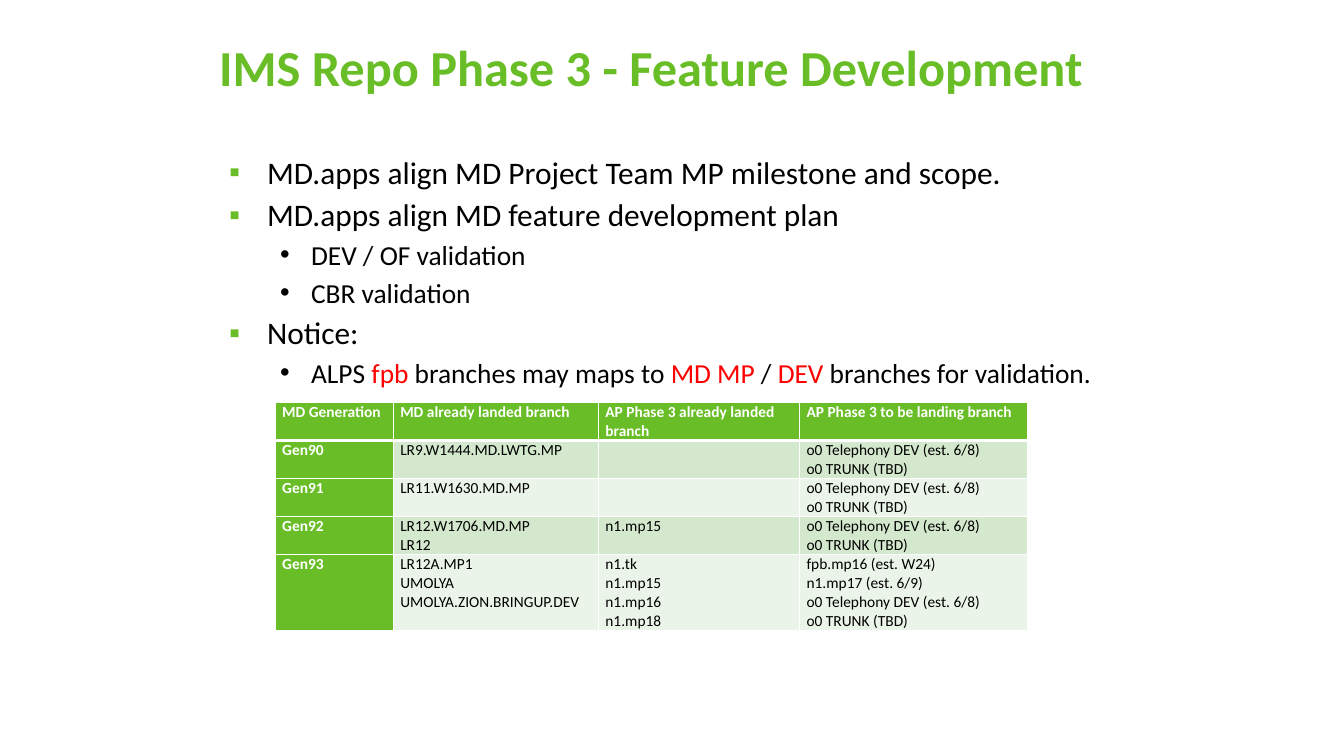
from lxml.etree import SubElement
from pptx import Presentation
from pptx.dml.color import RGBColor
from pptx.enum.text import MSO_ANCHOR, PP_ALIGN
from pptx.oxml.ns import qn
from pptx.util import Emu, Pt

SCALE = 9080
GREEN, BLACK, WHITE, RED = "69BE28", "000000", "FFFFFF", "FF0000"
BANDS = ["D4E8CD", "EBF4E8"]
LEVELS = [(22.4, 38, 38, "▪", GREEN), (19.6, 82, 31, "•", BLACK)]
POINTS = [
    (0, [("MD.apps align MD Project Team MP milestone and scope.", BLACK)]),
    (0, [("MD.apps align MD feature development plan", BLACK)]),
    (1, [("DEV / OF validation", BLACK)]),
    (1, [("CBR validation", BLACK)]),
    (0, [("Notice:", BLACK)]),
    (1, [("ALPS ", BLACK), ("fpb", RED), (" branches may maps to ", BLACK),
         ("MD MP", RED), (" / ", BLACK), ("DEV", RED),
         (" branches for validation.", BLACK)]),
]
PLAN = "o0 Telephony DEV (est. 6/8)\no0 TRUNK (TBD)"
ROWS = [
    ["MD Generation", "MD already landed branch",
     "AP Phase 3 already landed branch", "AP Phase 3 to be landing branch"],
    ["Gen90", "LR9.W1444.MD.LWTG.MP", "", PLAN],
    ["Gen91", "LR11.W1630.MD.MP", "", PLAN],
    ["Gen92", "LR12.W1706.MD.MP\nLR12", "n1.mp15", PLAN],
    ["Gen93", "LR12A.MP1\nUMOLYA\nUMOLYA.ZION.BRINGUP.DEV",
     "n1.tk\nn1.mp15\nn1.mp16\nn1.mp18",
     "fpb.mp16 (est. W24)\nn1.mp17 (est. 6/9)\n" + PLAN],
]
WIDTHS = [118, 205, 201, 228]
HEIGHTS = [38, 38, 38, 38, 76]


def px(size):
    """Turn pixels into EMU."""
    return Emu(size * SCALE)


def tint(code):
    """Turn a hex string into a colour."""
    return RGBColor.from_string(code)


def style(font, size, code, bold=False):
    """Set the face, size, colour and weight of a font."""
    font.name = "Calibri"
    font.size = Pt(size)
    font.bold = bold
    font.color.rgb = tint(code)


def add_box(slide, box):
    """Add a wrapping text box and return its frame."""
    frame = slide.shapes.add_textbox(*map(px, box)).text_frame
    frame.word_wrap = True
    frame.vertical_anchor = MSO_ANCHOR.TOP
    return frame


def add_title(slide, box):
    """Write the slide title."""
    frame = add_box(slide, box)
    frame.margin_left = frame.margin_right = 0
    frame.margin_top = frame.margin_bottom = 0
    frame.text = "IMS Repo Phase 3 - Feature Development"
    line = frame.paragraphs[0]
    line.alignment = PP_ALIGN.LEFT
    line.line_spacing = 0.82
    style(line.runs[0].font, 36, GREEN, True)


def add_mark(line, left, hang, mark, code):
    """Give a paragraph its indent and bullet."""
    props = line._p.get_or_add_pPr()
    props.set("marL", str(px(left)))
    props.set("indent", str(px(-hang)))
    color = SubElement(props, qn("a:buClr"))
    SubElement(color, qn("a:srgbClr"), val=code)
    SubElement(props, qn("a:buFont"), typeface="Arial")
    SubElement(props, qn("a:buChar"), char=mark)


def add_points(slide, box):
    """Write the bullet list."""
    frame = add_box(slide, box)
    for order, (level, parts) in enumerate(POINTS):
        line = frame.add_paragraph() if order else frame.paragraphs[0]
        size, left, hang, mark, code = LEVELS[level]
        line.level = level
        line.space_before = Pt(3.4 if order else 0)
        add_mark(line, left, hang, mark, code)
        for text, shade in parts:
            run = line.add_run()
            run.text = text
            style(run.font, size, shade)


def add_edges(cell, head):
    """Draw white cell borders, thick between head and body."""
    props = cell._tc.get_or_add_tcPr()
    thick = {"lnB"} if head else set()
    for order, side in enumerate(["lnL", "lnR", "lnT", "lnB"]):
        width = Pt(3 if side in thick else 1)
        edge = props.makeelement(qn("a:" + side), {"w": str(width)})
        fill = SubElement(edge, qn("a:solidFill"))
        SubElement(fill, qn("a:srgbClr"), val=WHITE)
        props.insert(order, edge)


def fill_cell(cell, text, row, col):
    """Write and colour one table cell."""
    key = row == 0 or col == 0
    cell.margin_left = cell.margin_right = px(7)
    cell.margin_top = cell.margin_bottom = 0
    cell.fill.solid()
    cell.fill.fore_color.rgb = tint(GREEN if key else BANDS[(row - 1) % 2])
    add_edges(cell, row == 0)
    cell.text_frame.text = text
    for line in cell.text_frame.paragraphs:
        for run in line.runs:
            style(run.font, 11, WHITE if key else BLACK, key)


def add_grid(slide, left, top):
    """Build the branch table from its top left corner."""
    size = map(px, (left, top, sum(WIDTHS), sum(HEIGHTS)))
    table = slide.shapes.add_table(len(ROWS), len(WIDTHS), *size).table
    for col, width in zip(table.columns, WIDTHS):
        col.width = px(width)
    for row, (height, texts) in enumerate(zip(HEIGHTS, ROWS)):
        table.rows[row].height = px(height)
        for col, text in enumerate(texts):
            fill_cell(table.cell(row, col), text, row, col)


def main():
    """Build the slide and save it."""
    deck = Presentation()
    deck.slide_width, deck.slide_height = px(1343), px(755)
    slide = deck.slides.add_slide(deck.slide_layouts[6])
    add_title(slide, (219, 47, 906, 77))
    add_grid(slide, 275, 402)
    add_points(slide, (219, 148, 906, 242))
    deck.save("out.pptx")


if __name__ == "__main__":
    main()
